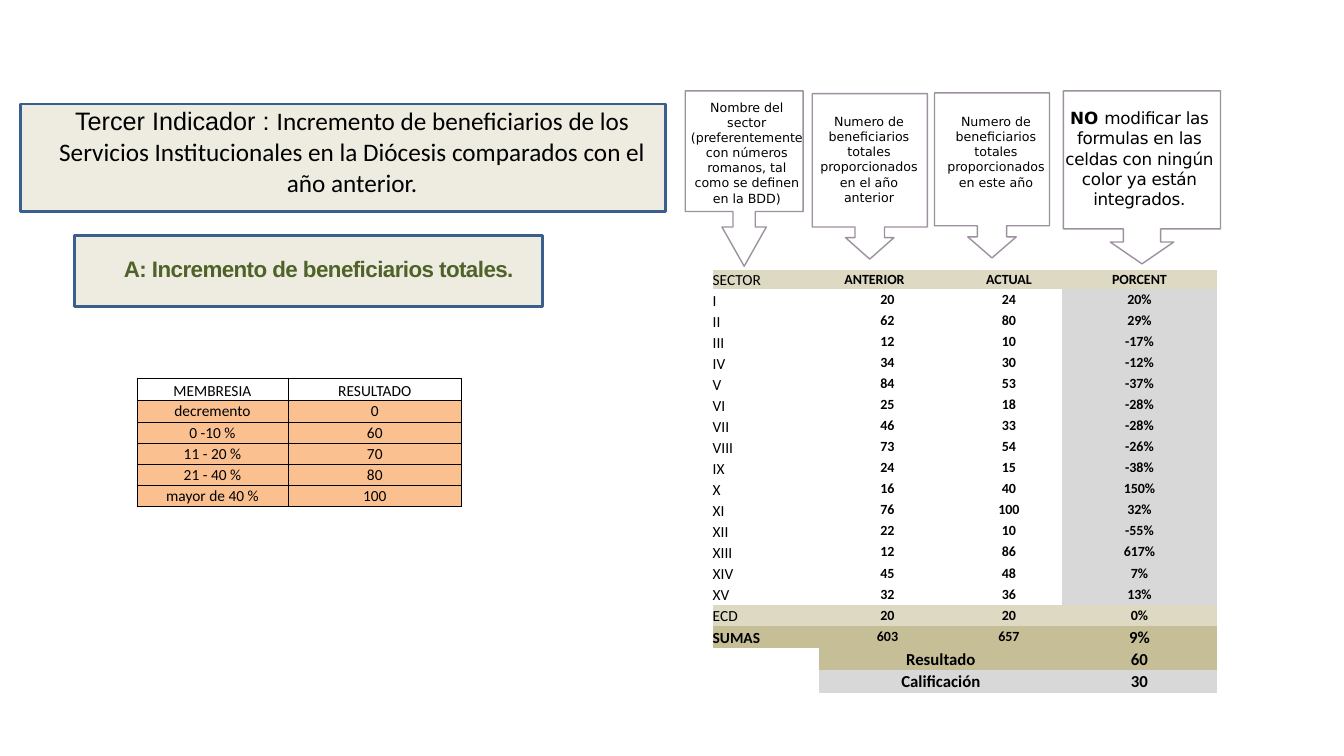
from dataclasses import dataclass

from lxml.etree import SubElement
from pptx import Presentation
from pptx.dml.color import RGBColor
from pptx.enum.shapes import MSO_SHAPE
from pptx.enum.text import MSO_ANCHOR, MSO_AUTO_SIZE, PP_ALIGN
from pptx.oxml.ns import qn
from pptx.util import Cm, Pt

BLACK, CREAM, BLUE, MAUVE = "000000", "EEECE1", "3A5F8C", "9D909F"
SAND, KHAKI, GRAY, ORANGE, OLIVE = "DDD9C3", "C5BE97", "D8D8D8", "FAC090", "4F6228"
PLAIN_TABLE_STYLE = "{2D5ABB26-0587-4C30-8999-92F81FD0307C}"
FRAME_FORMAT = {"word_wrap": True, "auto_size": MSO_AUTO_SIZE.NONE, "margin_left": 0,
                "margin_right": 0, "margin_top": 0, "margin_bottom": 0}


@dataclass(frozen=True)
class Box:
    left: float
    top: float
    width: float
    height: float

    def lengths(self) -> tuple:
        return Cm(self.left), Cm(self.top), Cm(self.width), Cm(self.height)


@dataclass(frozen=True)
class Phrase:
    text: str
    size: float
    font: str = "Calibri"
    bold: bool = False
    color: str = BLACK
    spacing: int = 0


@dataclass(frozen=True)
class Callout:
    left: float
    top: float
    width: float
    body_bottom: float
    neck_bottom: float
    tip: float
    neck_half: float
    head_half: float
    text_box: Box
    phrases: tuple


def small(text: str) -> tuple:
    return (Phrase(text, 9, "DejaVu Sans"),)


CALLOUTS = (
    Callout(17.27, 2.29, 2.97, 5.33, 5.72, 6.71, 0.28, 0.56, Box(17.37, 2.51, 2.9, 2.7),
            small("Nombre del sector (preferentemente con números romanos, tal como "
                  "se definen en la BDD)")),
    Callout(20.47, 2.36, 2.9, 5.72, 5.99, 6.53, 0.37, 0.61, Box(20.54, 2.87, 2.72, 2.31),
            small("Numero de beneficiarios totales proporcionados en el año anterior")),
    Callout(23.55, 2.34, 2.9, 5.69, 5.97, 6.5, 0.37, 0.61, Box(23.74, 2.87, 2.72, 1.93),
            small("Numero de beneficiarios totales proporcionados en este año")),
    Callout(26.8, 2.29, 3.96, 5.77, 6.1, 6.65, 0.47, 0.8, Box(26.52, 2.72, 4.39, 2.57),
            (Phrase("NO ", 12, "DejaVu Sans", True),
             Phrase("modificar las formulas en las celdas con ningún color ya están "
                    "integrados.", 12, "DejaVu Sans", spacing=-20))),
)
SECTORS = (
    ("I", 20, 24, "20%"), ("II", 62, 80, "29%"), ("III", 12, 10, "-17%"),
    ("IV", 34, 30, "-12%"), ("V", 84, 53, "-37%"), ("VI", 25, 18, "-28%"),
    ("VII", 46, 33, "-28%"), ("VIII", 73, 54, "-26%"), ("IX", 24, 15, "-38%"),
    ("X", 16, 40, "150%"), ("XI", 76, 100, "32%"), ("XII", 22, 10, "-55%"),
    ("XIII", 12, 86, "617%"), ("XIV", 45, 48, "7%"), ("XV", 32, 36, "13%"),
)
SECTOR_ROWS = (("SECTOR", "ANTERIOR", "ACTUAL", "PORCENT"), *SECTORS,
               ("ECD", 20, 20, "0%"), ("SUMAS", 603, 657, "9%"),
               ("", "Resultado", "", 60), ("", "Calificación", "", 30))
ROW_FILLS = {"SECTOR": SAND, "ECD": SAND, "SUMAS": KHAKI,
             "Resultado": KHAKI, "Calificación": GRAY}
RESULT_ROWS = (("MEMBRESIA", "RESULTADO"), ("decremento", 0), ("0 -10 %", 60),
               ("11 - 20 %", 70), ("21 - 40 %", 80), ("mayor de 40 %", 100))


def rgb(color: str) -> RGBColor:
    return RGBColor.from_string(color)


def apply_format(target, values: dict) -> None:
    for name, value in values.items():
        setattr(target, name, value)


def write(paragraph, phrases: tuple, align=PP_ALIGN.CENTER) -> None:
    paragraph.alignment = align
    for phrase in phrases:
        run = paragraph.add_run()
        run.text = phrase.text
        apply_format(run.font, {"name": phrase.font, "size": Pt(phrase.size),
                                "bold": phrase.bold})
        run.font.color.rgb = rgb(phrase.color)
        if phrase.spacing:
            run.font._element.set("spc", str(phrase.spacing))


def add_text(slide, box: Box, phrases: tuple, align=PP_ALIGN.CENTER) -> None:
    frame = slide.shapes.add_textbox(*box.lengths()).text_frame
    apply_format(frame, FRAME_FORMAT)
    write(frame.paragraphs[0], phrases, align)


def add_panel(slide, box: Box) -> None:
    panel = slide.shapes.add_shape(MSO_SHAPE.RECTANGLE, *box.lengths())
    panel.shadow.inherit = False
    panel.fill.solid()
    panel.fill.fore_color.rgb = rgb(CREAM)
    panel.line.color.rgb = rgb(BLUE)
    panel.line.width = Pt(2)


def add_callout(slide, callout: Callout) -> None:
    """Outline a box whose lower edge runs into a down arrow, with its text."""
    right = callout.left + callout.width
    center = callout.left + callout.width / 2
    half_outline = ((callout.neck_half, callout.body_bottom),
                    (callout.neck_half, callout.neck_bottom),
                    (callout.head_half, callout.neck_bottom))
    points = [(right, callout.top), (right, callout.body_bottom),
              *((center + half, y) for half, y in half_outline),
              (center, callout.tip),
              *((center - half, y) for half, y in reversed(half_outline)),
              (callout.left, callout.body_bottom)]
    builder = slide.shapes.build_freeform(Cm(callout.left), Cm(callout.top))
    builder.add_line_segments([(Cm(x), Cm(y)) for x, y in points], close=True)
    shape = builder.convert_to_shape()
    shape.shadow.inherit = False
    shape.fill.background()
    shape.line.color.rgb = rgb(MAUVE)
    shape.line.width = Pt(1)
    add_text(slide, callout.text_box, callout.phrases)


def add_plain_table(slide, left: float, top: float, widths: tuple, heights: tuple):
    box = Box(left, top, sum(widths), sum(heights))
    table = slide.shapes.add_table(len(heights), len(widths), *box.lengths()).table
    apply_format(table, {"first_row": False, "horz_banding": False})
    table._tbl.tblPr.find(qn("a:tableStyleId")).text = PLAIN_TABLE_STYLE
    for column, width in zip(table.columns, widths):
        column.width = Cm(width)
    for row, height in zip(table.rows, heights):
        row.height = Cm(height)
    return table


def fill_cell(cell, phrase: Phrase, fill: str | None, anchor, align=PP_ALIGN.CENTER) -> None:
    apply_format(cell, {"margin_left": 0, "margin_right": 0, "margin_top": 0,
                        "margin_bottom": 0, "vertical_anchor": anchor})
    paragraph = cell.text_frame.paragraphs[0]
    if phrase.text:
        write(paragraph, (phrase,), align)
    else:
        SubElement(paragraph._p, qn("a:endParaRPr")).set("sz", str(phrase.size * 100))
    if fill:
        cell.fill.solid()
        cell.fill.fore_color.rgb = rgb(fill)
    else:
        cell.fill.background()


def add_borders(cell) -> None:
    properties = cell._tc.get_or_add_tcPr()
    for position, side in enumerate(("lnL", "lnR", "lnT", "lnB")):
        line = properties.makeelement(qn(f"a:{side}"), {"w": str(Pt(0.5))})
        color = SubElement(SubElement(line, qn("a:solidFill")), qn("a:srgbClr"))
        color.set("val", BLACK)
        properties.insert(position, line)


def add_sector_table(slide) -> None:
    heights = (0.46, *[0.53] * 16, *[0.56] * 3)
    table = add_plain_table(slide, 17.96, 6.81, (2.69, 3.43, 2.69, 3.89), heights)
    for row, values in enumerate(SECTOR_ROWS):
        name = values[0] or values[1]
        is_result = not values[0]
        for column, value in enumerate(values):
            fill = ROW_FILLS.get(name, GRAY if column == 3 else None)
            if column == 0:
                phrase = Phrase(value, 11, bold=name == "SUMAS")
                fill_cell(table.cell(row, 0), phrase, None if is_result else fill,
                          MSO_ANCHOR.BOTTOM, PP_ALIGN.LEFT)
                continue
            large = is_result or value == "9%"
            phrase = Phrase(str(value), 12 if large else 10, bold=True)
            fill_cell(table.cell(row, column), phrase, fill,
                      MSO_ANCHOR.BOTTOM if large else MSO_ANCHOR.MIDDLE)
        if is_result:
            table.cell(row, 1).merge(table.cell(row, 2))
    previous_year = table.cell(0, 1)
    previous_year.margin_left = Cm(0.63)
    previous_year.text_frame.paragraphs[0].alignment = PP_ALIGN.LEFT


def add_result_table(slide) -> None:
    table = add_plain_table(slide, 3.45, 9.53, (3.81, 4.37), (0.56, 0.56, *[0.53] * 4))
    for row, values in enumerate(RESULT_ROWS):
        for column, value in enumerate(values):
            cell = table.cell(row, column)
            fill_cell(cell, Phrase(str(value), 11), ORANGE if row else None,
                      MSO_ANCHOR.MIDDLE if row else MSO_ANCHOR.BOTTOM)
            add_borders(cell)


def add_title(slide) -> None:
    title = slide.shapes.title
    apply_format(title, dict(zip(("left", "top", "width", "height"),
                                 Box(0, 2.59, 16.51, 3.15).lengths())))
    frame = title.text_frame
    apply_format(frame, {**FRAME_FORMAT, "margin_left": Cm(1.24), "margin_top": Cm(0.05),
                         "vertical_anchor": MSO_ANCHOR.TOP})
    write(frame.paragraphs[0], (
        Phrase("Tercer Indicador : ", 18, "Arial"),
        Phrase("Incremento de beneficiarios de los Servicios Institucionales en la Diócesis "
               "comparados con el año anterior.", 18)))
    frame.paragraphs[0].line_spacing = 1.02
    slide.shapes._spTree.append(title._element)


def main() -> None:
    presentation = Presentation()
    apply_format(presentation, {"slide_width": Cm(33.87), "slide_height": Cm(19.05)})
    slide = presentation.slides.add_slide(presentation.slide_layouts[5])
    add_panel(slide, Box(0.51, 2.62, 16.26, 2.72))
    add_title(slide)
    add_panel(slide, Box(1.88, 5.94, 11.79, 1.78))
    add_text(slide, Box(2.79, 6.43, 10.49, 0.94), (
        Phrase("A: Incremento de beneficiarios totales.", 16, "Arial", True, OLIVE, -40),))
    for callout in CALLOUTS:
        add_callout(slide, callout)
    add_sector_table(slide)
    add_result_table(slide)
    presentation.save("out.pptx")


if __name__ == "__main__":
    main()
